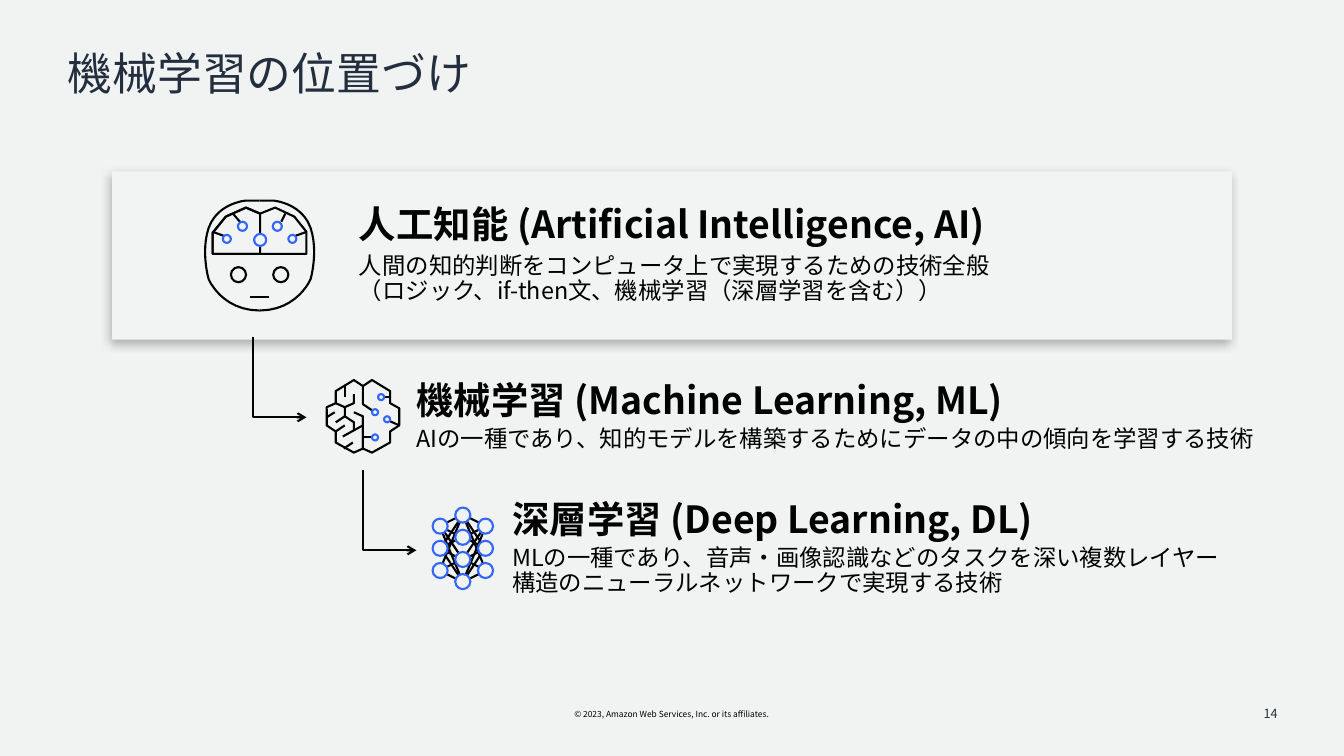
from lxml import etree
from pptx import Presentation
from pptx.dml.color import RGBColor
from pptx.enum.shapes import MSO_CONNECTOR, MSO_SHAPE
from pptx.enum.text import MSO_ANCHOR, PP_ALIGN
from pptx.oxml.ns import qn
from pptx.util import Inches, Pt

RECT, OVAL = MSO_SHAPE.RECTANGLE, MSO_SHAPE.OVAL
STRAIGHT = MSO_CONNECTOR.STRAIGHT
TOP, MIDDLE = MSO_ANCHOR.TOP, MSO_ANCHOR.MIDDLE
LEFT, CENTER, RIGHT = PP_ALIGN.LEFT, PP_ALIGN.CENTER, PP_ALIGN.RIGHT
BLACK, NAVY, BLUE = "000000", "232F3E", "3366FF"
BACKGROUND, PANEL = "F1F3F3", "F2F4F4"
BODY_FONT, TITLE_FONT = "Noto Sans CJK JP", "Roboto"


def color(hex_string):
    return RGBColor.from_string(hex_string)


def curve(start, *segments, steps=12):
    """Points along a chain of cubic curves."""
    points = [start]
    for c1, c2, end in segments:
        p0 = points[-1]
        for i in range(1, steps + 1):
            t = i / steps
            weights = ((1 - t) ** 3, 3 * t * (1 - t) ** 2, 3 * t * t * (1 - t), t ** 3)
            points.append(tuple(
                sum(w * p[axis] for w, p in zip(weights, (p0, c1, c2, end)))
                for axis in (0, 1)))
    return points


class SlideCanvas:
    line_width = Pt(1.5)

    def __init__(self, slide):
        self.slide = slide
        self.shapes = slide.shapes
        slide.background.fill.solid()
        slide.background.fill.fore_color.rgb = color(BACKGROUND)

    def open_group(self):
        self.shapes = self.slide.shapes.add_group_shape().shapes

    def close_group(self):
        self.shapes = self.slide.shapes

    def stroke(self, item, line):
        item.line.color.rgb = color(line)
        item.line.width = self.line_width

    def shape(self, kind, x, y, w, h, fill=None, line=None):
        item = self.shapes.add_shape(kind, Inches(x), Inches(y), Inches(w), Inches(h))
        item.shadow.inherit = False
        if fill:
            item.fill.solid()
            item.fill.fore_color.rgb = color(fill)
        else:
            item.fill.background()
        if line:
            self.stroke(item, line)
        else:
            item.line.fill.background()
        return item

    def circle(self, x, y, size, line=BLACK, fill=None):
        """Circle around the centre x, y."""
        self.shape(OVAL, x - size / 2, y - size / 2, size, size, fill, line)

    def line(self, start, end):
        item = self.shapes.add_connector(
            STRAIGHT, *(Inches(v) for v in (*start, *end)))
        self.stroke(item, BLACK)
        etree.SubElement(item._element.spPr, qn("a:effectLst"))

    def outline(self, points, close=False, arrow=False):
        points = [(Inches(x), Inches(y)) for x, y in points]
        builder = self.shapes.build_freeform(*points[0], scale=1.0)
        builder.add_line_segments(points[1:], close=close)
        item = builder.convert_to_shape()
        item.shadow.inherit = False
        item.fill.background()
        self.stroke(item, BLACK)
        if arrow:
            ln = item._element.spPr.find(qn("a:ln"))
            etree.SubElement(ln, qn("a:tailEnd"), type="arrow")

    def soft_shadow(self, item):
        effects = item._element.spPr.find(qn("a:effectLst"))
        shadow = etree.SubElement(
            effects, qn("a:outerShdw"), blurRad=str(Pt(7)), dist=str(Pt(3)),
            dir=str(135 * 60000), algn="tr", rotWithShape="0")
        tint = etree.SubElement(shadow, qn("a:srgbClr"), val=BLACK)
        etree.SubElement(tint, qn("a:alpha"), val="30000")

    def text(self, box, paragraphs, font=BODY_FONT, ink=BLACK, align=LEFT,
             anchor=TOP, insets=(0, 0), spacing=None, gap=0, wrap=True):
        """Paragraphs are (text, size, bold); gap separates them in points."""
        frame = self.shapes.add_textbox(*(Inches(v) for v in box)).text_frame
        frame.word_wrap = wrap
        frame.vertical_anchor = anchor
        frame.margin_left = frame.margin_right = Inches(insets[0])
        frame.margin_top = frame.margin_bottom = Inches(insets[1])
        for i, (words, size, bold) in enumerate(paragraphs):
            paragraph = frame.add_paragraph() if i else frame.paragraphs[0]
            paragraph.text = words
            paragraph.alignment = align
            if spacing:
                paragraph.line_spacing = spacing
            if i:
                paragraph.space_before = Pt(gap)
            paragraph.font.name = font
            paragraph.font.size = Pt(size)
            paragraph.font.bold = bold
            paragraph.font.color.rgb = color(ink)
            defaults = paragraph._p.pPr.find(qn("a:defRPr"))
            etree.SubElement(defaults, qn("a:ea"), typeface=BODY_FONT)

    def topic(self, box, heading, description, side_inset=0, gap=3.3):
        self.text(box, [(heading, 26.7, True), (description, 16.7, False)],
                  anchor=MIDDLE, insets=(side_inset, 0), spacing=0.9, gap=gap)


def draw_robot_head(canvas):
    middle = 2.575
    left_half = curve(
        (middle, 1.99),
        ((2.44, 1.99), (2.44, 1.99), (2.44, 1.99)),
        ((2.44, 1.99), (2.16, 2.01), (2.07, 2.26)),
        ((1.99, 2.5), (2.07, 2.77), (2.07, 2.77)),
        ((2.07, 2.77), (2.2, 3.08), (middle, 3.08)))
    canvas.outline(left_half)
    canvas.outline([(2 * middle - x, y) for x, y in left_half])
    canvas.outline([(2.11, 2.52), (3.04, 2.52), (3.04, 2.3), (2.92, 2.15), (2.73, 2.06),
                    (2.58, 2.12), (2.44, 2.06), (2.24, 2.15), (2.11, 2.31)], close=True)
    canvas.outline([(2.44, 2.06), (2.58, 2.12), (2.58, 2.52), (2.11, 2.52),
                    (2.11, 2.31), (2.24, 2.15)], close=True)
    for eye_x in (2.365, 2.785):
        canvas.circle(eye_x, 2.725, 0.15)
    for start, end in [((2.48, 2.95), (2.67, 2.95)), ((2.83, 2.12), (2.79, 2.2)),
                       ((3.04, 2.3), (2.93, 2.34)), ((2.31, 2.12), (2.38, 2.2)),
                       ((2.11, 2.3), (2.22, 2.34))]:
        canvas.line(start, end)
    canvas.circle(2.58, 2.38, 0.12, BLUE, PANEL)
    for x, y, size in [(2.405, 2.245, 0.09), (2.75, 2.245, 0.09),
                       (2.9, 2.37, 0.08), (2.25, 2.37, 0.08)]:
        canvas.circle(x, y, size, BLUE)


def draw_brain(canvas):
    left_lobe = [(3.6, 3.83), (3.51, 3.77), (3.33, 3.88), (3.33, 4), (3.24, 4.04),
                 (3.24, 4.22), (3.33, 4.28), (3.33, 4.39), (3.51, 4.49), (3.6, 4.45),
                 (3.6, 4.13), (3.51, 4.09)]
    right_lobe = [(3.69, 4.07), (3.6, 4.01), (3.6, 3.83), (3.69, 3.77), (3.87, 3.88),
                  (3.87, 4), (3.96, 4.05), (3.96, 4.22), (3.87, 4.28), (3.87, 4.39),
                  (3.69, 4.49), (3.6, 4.45), (3.6, 4.14)]
    upper_fold = [(3.42, 4.14), (3.42, 4.04), (3.51, 4), (3.51, 3.91)]
    lower_fold = [(3.51, 4.27), (3.51, 4.19), (3.42, 4.13)]
    for fold in (left_lobe, right_lobe, upper_fold, lower_fold):
        canvas.outline(fold)
    for start, end in [((3.24, 4.06), (3.24, 4.22)), ((3.42, 4.04), (3.33, 4)),
                       ((3.42, 3.94), (3.42, 3.83)), ((3.24, 4.14), (3.32, 4.09)),
                       ((3.33, 4.28), (3.42, 4.22)), ((3.41, 4.45), (3.5, 4.39)),
                       ((3.4, 4.33), (3.6, 4.22)), ((3.33, 4.19), (3.42, 4.13)),
                       ((3.96, 4.06), (3.96, 4.22)), ((3.87, 4.18), (3.96, 4.22)),
                       ((3.87, 3.94), (3.81, 3.94)), ((3.6, 4.34), (3.69, 4.34))]:
        canvas.line(start, end)
    for x, y in [(3.78, 3.94), (3.84, 4.16), (3.72, 4.09), (3.72, 4.34)]:
        canvas.circle(x, y, 0.06, BLUE)


def draw_network(canvas):
    middle, column_step, row_step, node = 4.59, 0.225, 0.22, 0.15
    long_links = [(0.18, 5.5, 0.04, 5.71), (0.18, 5.28, 0.04, 5.49), (0.18, 5.38, 0.04, 5.17),
                  (0.2, 5.59, 0.03, 5.18), (0.2, 5.29, 0.03, 5.7)]
    outer_rows = [5.22 + row_step * i for i in range(3)]
    short_links = [(0.16, y + sign * 0.035, 0.07, y + sign * 0.08)
                   for y in outer_rows for sign in (-1, 1)]
    for side in (-1, 1):
        for outer, y1, inner, y2 in short_links + long_links:
            canvas.line((middle + side * outer, y1), (middle + side * inner, y2))
        for y in outer_rows:
            canvas.circle(middle + side * column_step, y, node, BLUE)
    for i in range(4):
        canvas.circle(middle, 5.11 + row_step * i, node, BLUE)


def main():
    deck = Presentation()
    deck.slide_width, deck.slide_height = Inches(13.33), Inches(7.5)
    canvas = SlideCanvas(deck.slides.add_slide(deck.slide_layouts[6]))

    # Copyright line and title
    canvas.text((5.49, 6.99, 2.34, 0.2),
                [("© 2023, Amazon Web Services, Inc. or its affiliates.", 6, False)],
                align=CENTER, insets=(0.1, 0.05), wrap=False)
    canvas.text((0.67, 0.46, 11.98, 0.6), [("機械学習の位置づけ", 32, False)],
                font=TITLE_FONT, ink=NAVY, insets=(0, 0.05), spacing=0.9)

    # Artificial intelligence
    canvas.open_group()
    canvas.soft_shadow(canvas.shape(RECT, 1.11, 1.7, 11.11, 1.67, PANEL))
    draw_robot_head(canvas)
    canvas.topic((3.39, 1.91, 8.22, 1.25), "人工知能 (Artificial Intelligence, AI)",
                 "人間の知的判断をコンピュータ上で実現するための技術全般\n"
                 "（ロジック、if-then文、機械学習（深層学習を含む））", side_inset=0.17, gap=5)
    canvas.close_group()

    # Machine learning
    canvas.open_group()
    draw_brain(canvas)
    canvas.close_group()
    canvas.topic((4.13, 3.63, 8.47, 1.03), "機械学習 (Machine Learning, ML)",
                 "AIの一種であり、知的モデルを構築するためにデータの中の傾向を学習する技術")

    # Deep learning
    canvas.open_group()
    draw_network(canvas)
    canvas.close_group()
    canvas.topic((5.08, 4.9, 7.15, 1.09), "深層学習 (Deep Learning, DL)",
                 "MLの一種であり、音声・画像認識などのタスクを深い複数レイヤー"
                 "構造のニューラルネットワークで実現する技術")

    # Arrows from each field to its subfield
    for x, y in [(2.51, 3.34), (3.6, 4.66)]:
        canvas.outline([(x, y), (x, y + 0.8), (x + 0.53, y + 0.8)], arrow=True)

    # Page number
    canvas.text((9.77, 6.88, 3, 0.4), [("14", 9, False)], ink=NAVY, align=RIGHT,
                anchor=MIDDLE, insets=(0.1, 0.05))
    deck.save("out.pptx")


if __name__ == "__main__":
    main()
